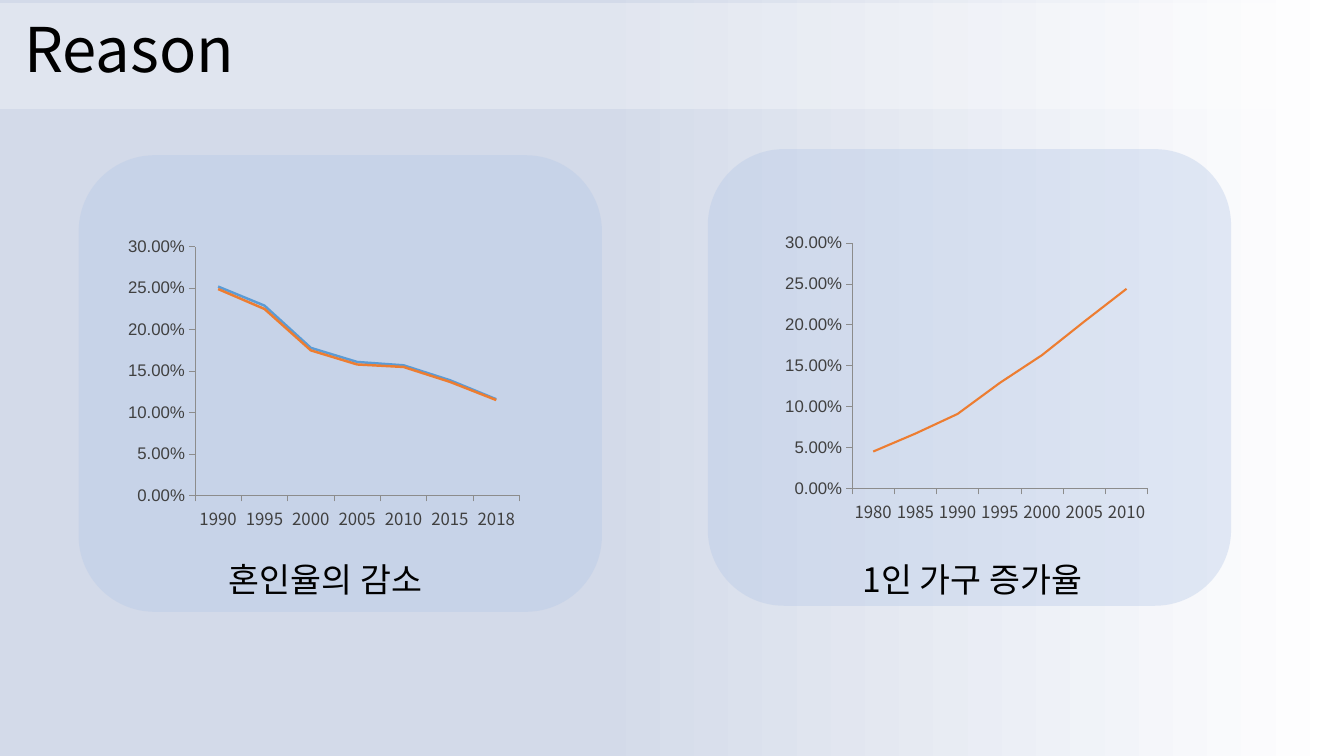
from lxml.etree import SubElement
from pptx import Presentation
from pptx.chart.data import CategoryChartData
from pptx.dml.color import RGBColor
from pptx.enum.chart import XL_CHART_TYPE, XL_TICK_MARK
from pptx.enum.shapes import MSO_SHAPE
from pptx.enum.text import MSO_ANCHOR
from pptx.oxml import parse_xml
from pptx.oxml.ns import nsdecls, qn
from pptx.util import Inches, Pt

COLORS = {
    "bg": "D3DAE9", "white": "FFFFFF", "panel": "B4C7E7", "text": "000000",
    "label": "404040", "axis": "8C8C8C", "blue": "5B9BD5", "orange": "ED7D31",
}
FONT = "Noto Sans CJK KR"


def rgb(name):
    return RGBColor.from_string(COLORS[name])


def set_background(s):
    fill = s.background.fill
    fill.gradient()
    fill.gradient_angle = 0
    stops = zip(fill.gradient_stops, (0.44, 1), ("bg", "white"))
    for stop, position, color in stops:
        stop.position = position
        stop.color.rgb = rgb(color)


def add_panel(s, kind, box, color, opacity):
    sp = s.shapes.add_shape(kind, *map(Inches, box))
    sp.shadow.inherit = False
    sp.line.fill.background()
    sp.fill.solid()
    sp.fill.fore_color.rgb = rgb(color)
    clr = sp.fill._xPr.find(qn("a:solidFill"))[0]
    SubElement(clr, qn("a:alpha"), val=str(opacity * 1000))


def add_text(s, box, text, size, indent=0.1):
    sp = s.shapes.add_textbox(*map(Inches, box))
    tf = sp.text_frame
    tf.word_wrap = True
    tf.vertical_anchor = MSO_ANCHOR.MIDDLE
    tf.margin_left = Inches(indent)
    tf.text = text
    p = tf.paragraphs[0]
    p.line_spacing = 0.9
    r = p.runs[0]
    r.font.size = Pt(size)
    r.font.name = FONT
    r.font.color.rgb = rgb("text")
    SubElement(r.font._element, qn("a:ea"), typeface=FONT)


def style_axis(axis, font):
    axis.has_major_gridlines = False
    axis.major_tick_mark = XL_TICK_MARK.OUTSIDE
    axis.minor_tick_mark = XL_TICK_MARK.NONE
    axis.format.line.color.rgb = rgb("axis")
    axis.format.line.width = Pt(0.5)
    labels = axis.tick_labels.font
    labels.size = Pt(12)
    labels.name = font
    labels.color.rgb = rgb("label")


def set_plot_layout(chart, plot_box):
    area = chart._chartSpace.chart.plotArea
    for old in area.findall(qn("c:layout")):
        area.remove(old)
    layout = parse_xml(f"<c:layout {nsdecls('c')}/>")
    manual = SubElement(layout, qn("c:manualLayout"))
    SubElement(manual, qn("c:layoutTarget"), val="inner")
    for key in ("xMode", "yMode"):
        SubElement(manual, qn(f"c:{key}"), val="edge")
    for key, value in zip("xywh", plot_box):
        SubElement(manual, qn(f"c:{key}"), val=str(value))
    area.insert(0, layout)


def add_line_chart(s, box, plot_box, years, series, width):
    data = CategoryChartData(number_format="0.00%")
    data.categories = years
    for i, (_, values) in enumerate(series, 1):
        data.add_series(f"Series {i}", values)
    chart = s.shapes.add_chart(
        XL_CHART_TYPE.LINE, *map(Inches, box), data).chart
    chart.has_title = False
    chart.has_legend = False
    chart.font.size = Pt(18)
    chart.font.name = FONT
    chart.font.color.rgb = rgb("text")

    # Axes
    style_axis(chart.category_axis, FONT)
    value_axis = chart.value_axis
    style_axis(value_axis, "Arial")
    value_axis.minimum_scale = 0
    value_axis.maximum_scale = 0.3
    value_axis.major_unit = 0.05
    value_axis.tick_labels.number_format = "0.00%"
    value_axis.tick_labels.number_format_is_linked = False

    # Lines
    plot = chart.plots[0]
    plot.vary_by_categories = False
    for line, (color, _) in zip(plot.series, series):
        line.smooth = False
        line.format.line.color.rgb = rgb(color)
        line.format.line.width = Pt(width)

    # Transparent chart area
    set_plot_layout(chart, plot_box)
    no_fill = parse_xml(
        f"<c:spPr {nsdecls('c', 'a')}><a:noFill/><a:ln><a:noFill/></a:ln></c:spPr>")
    chart._chartSpace.find(qn("c:txPr")).addprevious(no_fill)


def main():
    prs = Presentation()
    prs.slide_width, prs.slide_height = Inches(13.33), Inches(7.5)
    s = prs.slides.add_slide(prs.slide_layouts[6])
    set_background(s)

    # Panels and title band
    for left, top in ((0.78, 1.54), (7.02, 1.48)):
        add_panel(s, MSO_SHAPE.ROUNDED_RECTANGLE,
                  (left, top, 5.19, 4.53), "panel", 36)
    add_panel(s, MSO_SHAPE.RECTANGLE, (0, 0.03, 13.33, 1.05), "white", 31)
    add_text(s, (0, 0.1, 9.83, 0.85), "Reason", 44, indent=0.24)

    # Single-person households
    add_line_chart(
        s, (7.4, 2.28, 4.06, 3.29), (0.259, 0.04, 0.722, 0.74),
        [str(year) for year in range(1980, 2011, 5)],
        [("orange", (0.045, 0.067, 0.091, 0.129, 0.163, 0.204, 0.244))], 1.5)

    # Marriage rate
    add_line_chart(
        s, (1.13, 2.34, 4.06, 2.94), (0.198, 0.037, 0.793, 0.839),
        [str(year) for year in range(1990, 2016, 5)] + ["2018"],
        [("blue", (0.252, 0.229, 0.178, 0.161, 0.157, 0.139, 0.116)),
         ("orange", (0.249, 0.225, 0.175, 0.158, 0.155, 0.137, 0.115))], 1.75)

    # Captions
    add_text(s, (2.1, 5.34, 2.58, 0.85), "혼인율의 감소", 24, indent=0.17)
    add_text(s, (8.46, 5.34, 2.77, 0.85), "1인 가구 증가율", 24)

    prs.save("out.pptx")


if __name__ == "__main__":
    main()
